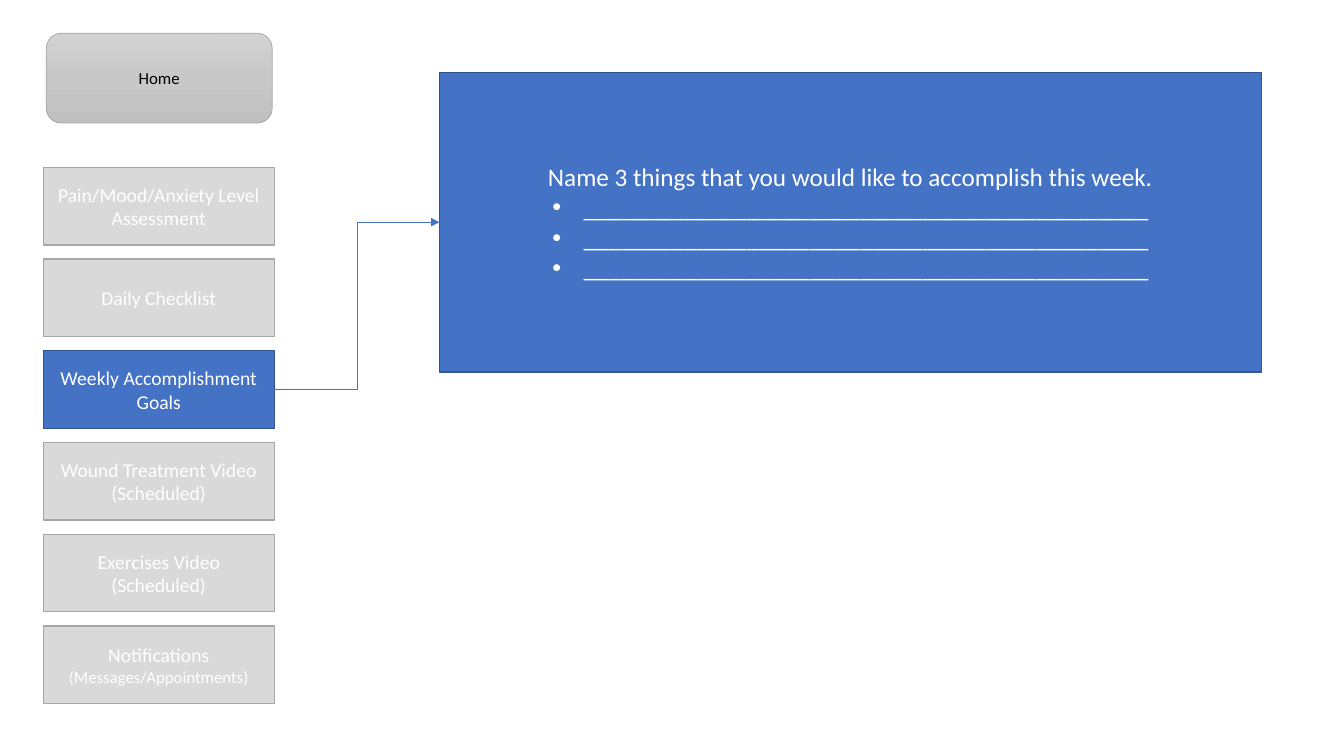
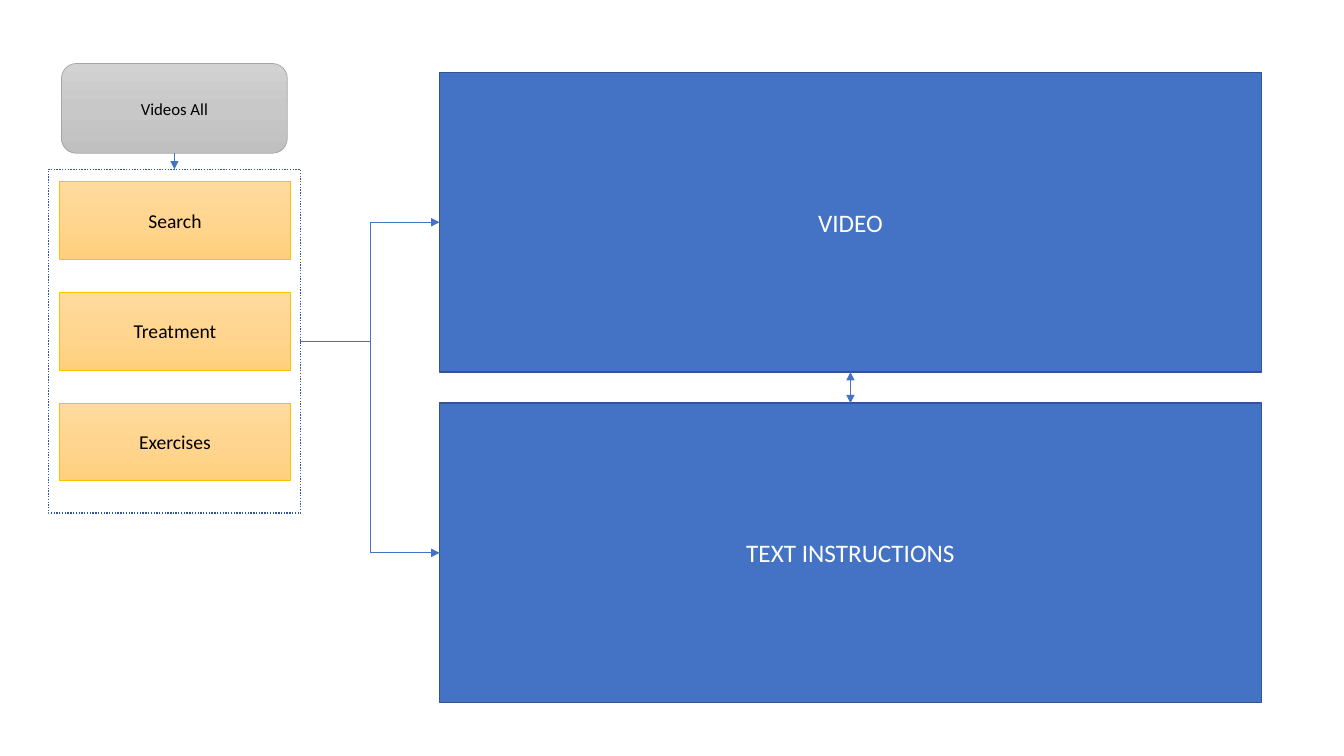
from copy import deepcopy
from dataclasses import dataclass
from typing import NamedTuple

from lxml import etree
from pptx import Presentation
from pptx import util as u
from pptx.dml.color import RGBColor
from pptx.enum import dml, shapes, text
from pptx.oxml.ns import qn

FONT = "Calibri"
BLUE, NAVY, WHITE, BLACK = "4472C4", "325491", "FFFFFF", "000000"
TOP, LEFT, BOTTOM, RIGHT = range(4)  # connection sites of a rectangle


class Box(NamedTuple):
    left: float
    top: float
    width: float
    height: float


@dataclass(frozen=True)
class Stack:
    """A column of equal rows, in inches."""
    first: Box
    pitch: float

    def row(self, i: int) -> Box:
        return self.first._replace(top=self.first.top + i * self.pitch)


@dataclass(frozen=True)
class Style:
    fill: tuple[str, ...]  # none, one solid colour, or gradient stops
    line: str
    weight: float
    font: str = WHITE
    size: float = 14
    kind: shapes.MSO_SHAPE = shapes.MSO_SHAPE.RECTANGLE
    dotted: bool = False


# Columns shared by the slides
MENU = Stack(Box(0.43, 1.66, 2.29, 0.77), 0.91)
VIDEOS = Stack(Box(0.59, 1.8, 2.29, 0.77), 1.1)
PANELS = Stack(Box(4.36, 0.72, 8.15, 2.97), 3.28)
VIDEO_FRAME = Box(0.48, 1.68, 2.5, 3.41)
HOME = Box(0.46, 0.33, 2.24, 0.89)
VIDEOS_ALL = Box(0.61, 0.63, 2.24, 0.89)

# Looks
HEADER = Style(("D2D2D2", "C8C8C8", "C0C0C0"), "A5A5A5", 0.5, BLACK, 12,
               shapes.MSO_SHAPE.ROUNDED_RECTANGLE)
ACTIVE = Style((BLUE,), NAVY, 1)
DIMMED = Style(("D9D9D9",), "A6A6A6", 1)
PANEL = Style((BLUE,), NAVY, 1, size=18)
VIDEO = Style(("FFDB9E", "FFD590", "FFD07C"), "FFC000", 0.5, BLACK)
FRAME = Style((), NAVY, 1, dotted=True)

MENU_ITEMS = (
    ("Pain/Mood/Anxiety Level Assessment", DIMMED),
    ("Daily Checklist", DIMMED),
    ("Weekly Accomplishment\nGoals", ACTIVE),
    ("Wound Treatment Video (Scheduled)", DIMMED),
    ("Exercises Video (Scheduled)", DIMMED),
    ("Notifications\n(Messages/Appointments)", DIMMED),
)


def rgb(color: str) -> RGBColor:
    return RGBColor.from_string(color)


def paint(sp, colors: tuple[str, ...]) -> None:
    """Fill with nothing, one colour, or an even top-to-bottom gradient."""
    if not colors:
        sp.fill.background()
    elif len(colors) == 1:
        sp.fill.solid()
        sp.fill.fore_color.rgb = rgb(colors[0])
    else:
        sp.fill.gradient()
        sp.fill.gradient_angle = 270
        stops = sp.element.spPr.find(qn("a:gradFill")).find(qn("a:gsLst"))
        for _ in colors[2:]:
            stops.insert(1, deepcopy(stops[0]))
        for i, (stop, color) in enumerate(zip(sp.fill.gradient_stops, colors)):
            stop.position = i / (len(colors) - 1)
            stop.color.rgb = rgb(color)


def add_box(slide, box: Box, style: Style, label: str = ""):
    sp = slide.shapes.add_shape(style.kind, *map(u.Inches, box))
    sp.shadow.inherit = False
    paint(sp, style.fill)
    sp.line.color.rgb = rgb(style.line)
    sp.line.width = u.Pt(style.weight)
    if style.dotted:
        sp.line.dash_style = dml.MSO_LINE.ROUND_DOT
    tf = sp.text_frame
    tf.word_wrap = True
    tf.vertical_anchor = text.MSO_ANCHOR.MIDDLE
    tf.text = label
    for p in tf.paragraphs:
        p.alignment = text.PP_ALIGN.CENTER
        for r in p.runs:
            r.font.name = FONT
            r.font.size = u.Pt(style.size)
            r.font.color.rgb = rgb(style.font)
    return sp


def add_bullet(p, indent: float = 0.31) -> None:
    pPr = p._p.get_or_add_pPr()
    pPr.set("marL", str(u.Inches(indent)))
    pPr.set("indent", str(-u.Inches(indent)))
    etree.SubElement(pPr, qn("a:buFont"), typeface="Arial")
    etree.SubElement(pPr, qn("a:buChar"), char="•")


def add_arrow(slide, start, start_site: int, end, end_site: int,
              kind=shapes.MSO_CONNECTOR.STRAIGHT, both: bool = False) -> None:
    c = slide.shapes.add_connector(kind, 0, 0, 0, 0)
    c.begin_connect(start, start_site)
    c.end_connect(end, end_site)
    c.line.color.rgb = rgb(BLUE)
    c.line.width = u.Pt(0.5)
    ln = c.line._get_or_add_ln()
    for tag in ("a:headEnd", "a:tailEnd") if both else ("a:tailEnd",):
        etree.SubElement(ln, qn(tag), type="triangle")
    etree.SubElement(c.element.spPr, qn("a:effectLst"))


def add_goals_slide(prs) -> None:
    slide = prs.slides.add_slide(prs.slide_layouts[6])
    blank = "_" * 45
    question = "Name 3 things that you would like to accomplish this week."
    panel = add_box(slide, PANELS.row(0), PANEL,
                    "\n".join([question, blank, blank, blank]))
    for p in panel.text_frame.paragraphs[1:]:
        add_bullet(p)

    # Menu
    add_box(slide, HOME, HEADER, "Home")
    items = [add_box(slide, MENU.row(i), style, label)
             for i, (label, style) in enumerate(MENU_ITEMS)]
    items[-1].text_frame.paragraphs[1].runs[0].font.size = u.Pt(12)
    add_arrow(slide, items[2], RIGHT, panel, LEFT, shapes.MSO_CONNECTOR.ELBOW)


def add_videos_slide(prs) -> None:
    slide = prs.slides.add_slide(prs.slide_layouts[6])
    header = add_box(slide, VIDEOS_ALL, HEADER, "Videos All")
    panels = [add_box(slide, PANELS.row(i), PANEL, label)
              for i, label in enumerate(("VIDEO", "TEXT INSTRUCTIONS"))]

    # Video choices
    for i, label in enumerate(("Search", "Treatment", "Exercises")):
        add_box(slide, VIDEOS.row(i), VIDEO, label)
    frame = add_box(slide, VIDEO_FRAME, FRAME)

    # Flow
    add_arrow(slide, header, BOTTOM, frame, TOP)
    for panel in panels:
        add_arrow(slide, frame, RIGHT, panel, LEFT, shapes.MSO_CONNECTOR.ELBOW)
    add_arrow(slide, panels[0], BOTTOM, panels[1], TOP, both=True)


def main() -> None:
    prs = Presentation()
    prs.slide_width, prs.slide_height = u.Inches(13.33), u.Inches(7.5)
    add_goals_slide(prs)
    add_videos_slide(prs)
    prs.save("out.pptx")


if __name__ == "__main__":
    main()
